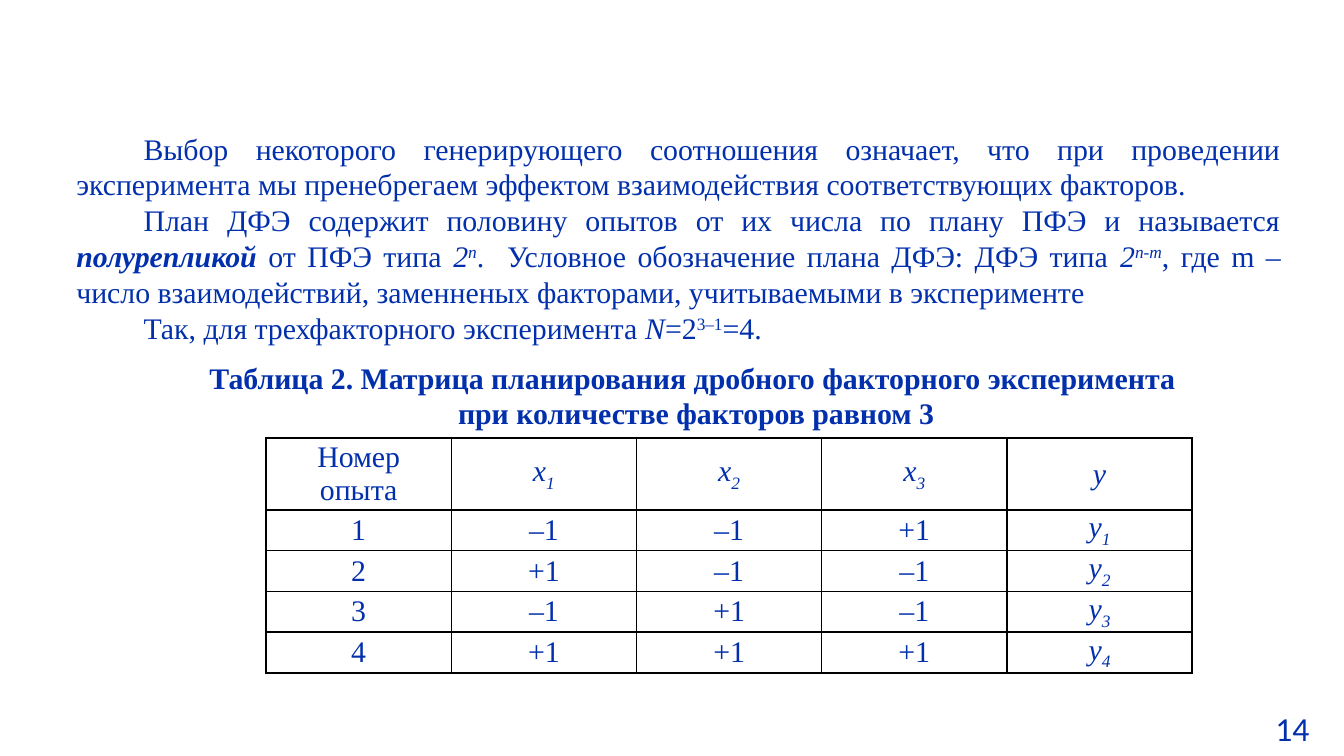
from dataclasses import dataclass
from typing import Optional

from lxml.etree import SubElement
from pptx import Presentation
from pptx.dml.color import RGBColor as RGB
from pptx.enum.text import MSO_ANCHOR as Anchor, MSO_AUTO_SIZE as AutoSize, PP_ALIGN as Align
from pptx.oxml.ns import qn
from pptx.util import Inches, Pt


@dataclass(frozen=True)
class Theme:
    ink: RGB = RGB(0x02, 0x30, 0xAC)
    border: str = "000000"
    font: str = "Times New Roman"
    number_font: str = "Calibri"
    size: int = 16
    number_size: int = 18


@dataclass(frozen=True)
class Run:
    text: str
    italic: bool = False
    bold: bool = False
    baseline: int = 0  # percent of the type size


@dataclass(frozen=True)
class Box:
    left: float
    top: float
    width: float
    height: float
    paragraphs: list
    align: Optional[Align] = None
    indent: float = 0
    font: str = Theme.font
    size: int = Theme.size
    anchor: Anchor = Anchor.TOP
    wrap: bool = True


SUP, SUB = 30, -25


def fill_paragraph(p, runs: list[Run], font: str = Theme.font, size: int = Theme.size) -> None:
    p.font.name, p.font.size = font, Pt(size)
    p.font.color.rgb = Theme.ink
    for run in runs:
        r = p.add_run()
        r.text = run.text
        if run.italic:
            r.font.italic = True
        if run.bold:
            r.font.bold = True
        if run.baseline:
            r.font._element.set("baseline", str(run.baseline * 1000))


def add_box(slide, box: Box) -> None:
    sp = slide.shapes.add_textbox(*map(Inches, (box.left, box.top, box.width, box.height)))
    tf = sp.text_frame
    tf.word_wrap = box.wrap
    tf.auto_size = AutoSize.SHAPE_TO_FIT_TEXT
    tf.vertical_anchor = box.anchor
    for i, runs in enumerate(box.paragraphs):
        p = tf.add_paragraph() if i else tf.paragraphs[0]
        p.alignment = box.align
        if box.indent:
            p._p.get_or_add_pPr().set("indent", str(Inches(box.indent)))
        fill_paragraph(p, runs, box.font, box.size)


def set_borders(cell) -> None:
    tc_pr = cell._tc.get_or_add_tcPr()
    for side in ("lnL", "lnR", "lnT", "lnB"):
        ln = SubElement(tc_pr, qn(f"a:{side}"), w=str(Pt(1)))
        SubElement(SubElement(ln, qn("a:solidFill")), qn("a:srgbClr"), val=Theme.border)


def fill_cell(cell, runs: list[Run]) -> None:
    set_borders(cell)
    cell.fill.background()
    cell.vertical_anchor = Anchor.MIDDLE
    cell.margin_left = cell.margin_right = Inches(0.07)
    cell.margin_top = cell.margin_bottom = 0
    p = cell.text_frame.paragraphs[0]
    p.alignment = Align.CENTER
    p.space_before = p.space_after = Pt(6)
    fill_paragraph(p, runs)


def add_matrix(slide, rows: list[list[list[Run]]]) -> None:
    left, top, width, height = map(Inches, (1.98, 3.26, 6.89, 1.61))
    frame = slide.shapes.add_table(len(rows), len(rows[0]), left, top, width, height)
    table = frame.table
    table.first_row = table.horz_banding = False
    for row, contents in zip(table.rows, rows):
        row.height = Inches(0.27)
        for cell, runs in zip(row.cells, contents):
            fill_cell(cell, runs)
    frame.height = height  # row heights are minimums


def indexed(letter: str, index: int) -> list[Run]:
    return [Run(letter, italic=True), Run(str(index), italic=True, baseline=SUB)]


BODY = Box(0.47, 0.92, 9.16, 2.02, [
    [Run("Выбор некоторого генерирующего соотношения означает, что при проведении "
         "эксперимента мы пренебрегаем эффектом взаимодействия соответствующих факторов.")],
    [Run("План ДФЭ содержит половину опытов от их числа по плану ПФЭ и называется "),
     Run("полурепликой", italic=True, bold=True),
     Run(" от ПФЭ типа "),
     Run("2", italic=True), Run("n", italic=True, baseline=SUP),
     Run(".  Условное обозначение плана ДФЭ: ДФЭ типа "),
     Run("2", italic=True), Run("n-m", italic=True, baseline=SUP),
     Run(", где m – число взаимодействий, заменненых факторами, "
         "учитываемыми в эксперименте")],
    [Run("Так, для трехфакторного эксперимента "), Run("N", italic=True),
     Run("=2"), Run("3–1", baseline=SUP), Run("=4. ")],
], align=Align.JUSTIFY, indent=0.5)

PAGE_NUMBER = Box(9.39, 5.22, 0.59, 0.4, [[Run("14")]],
                  font=Theme.number_font, size=Theme.number_size)

CAPTION = Box(1.41, 2.62, 7.54, 0.64, [
    [Run("Таблица 2. Матрица планирования дробного факторного эксперимента ", bold=True)],
    [Run("при количестве факторов равном 3", bold=True)],
], align=Align.CENTER, anchor=Anchor.MIDDLE, wrap=False)

# Factor levels of each trial
LEVELS = [(-1, -1, 1), (1, -1, -1), (-1, 1, -1), (1, 1, 1)]


def main() -> None:
    prs = Presentation()
    prs.slide_width = Inches(10)
    prs.slide_height = prs.slide_width * 9 // 16
    slide = prs.slides.add_slide(prs.slide_layouts[6])

    # Explanation and page number
    add_box(slide, BODY)
    add_box(slide, PAGE_NUMBER)

    # Design matrix with its caption
    header = [[Run("Номер опыта")], *(indexed("x", i) for i in (1, 2, 3)),
              [Run("y", italic=True)]]
    trials = [
        [[Run(str(n))], *([Run("+1" if level > 0 else "–1")] for level in levels),
         indexed("y", n)]
        for n, levels in enumerate(LEVELS, start=1)
    ]
    add_matrix(slide, [header, *trials])
    add_box(slide, CAPTION)

    prs.save("out.pptx")


if __name__ == "__main__":
    main()
